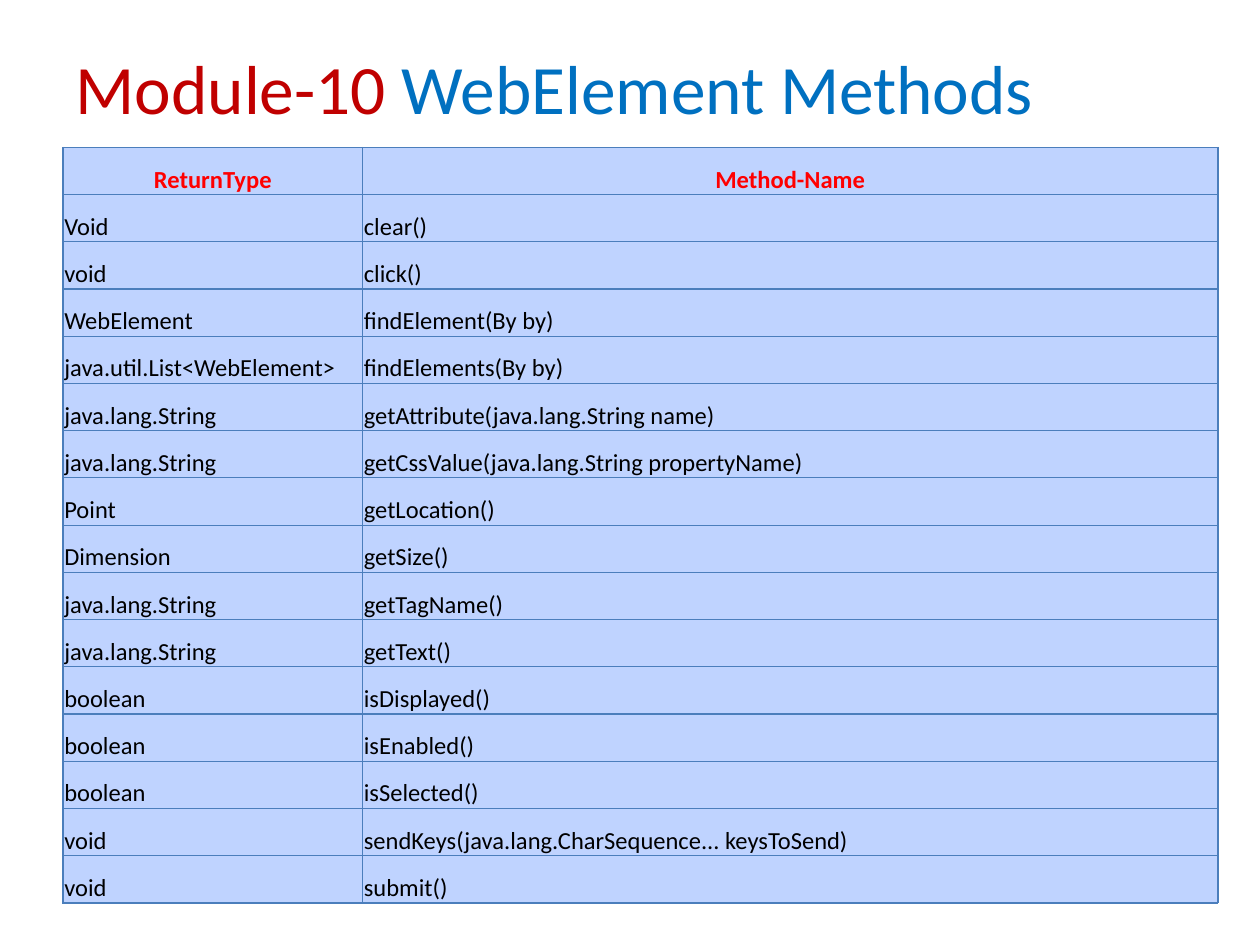
from lxml import etree
from pptx import Presentation
from pptx.dml.color import RGBColor
from pptx.enum.text import MSO_ANCHOR, PP_ALIGN
from pptx.oxml.ns import qn
from pptx.util import Pt

BOTTOM, MIDDLE = MSO_ANCHOR.BOTTOM, MSO_ANCHOR.MIDDLE
LEFT, CENTER = PP_ALIGN.LEFT, PP_ALIGN.CENTER
FONT = "Calibri"
TITLE_ONLY = 5
COLORS = {
    "module": "C00000",
    "topic": "0070C0",
    "header": "FF0000",
    "text": "000000",
    "cell": "BFD3FF",
    "border": "4B7EBC",
}
TITLE_RUNS = [("Module-10 ", "module"), ("WebElement Methods", "topic")]
METHODS = [
    ("ReturnType", "Method-Name"),
    ("Void", "clear()"),
    ("void", "click()"),
    ("WebElement", "findElement(By by)"),
    ("java.util.List<WebElement>", "findElements(By by)"),
    ("java.lang.String", "getAttribute(java.lang.String name)"),
    ("java.lang.String", "getCssValue(java.lang.String propertyName)"),
    ("Point", "getLocation()"),
    ("Dimension", "getSize()"),
    ("java.lang.String", "getTagName()"),
    ("java.lang.String", "getText()"),
    ("boolean", "isDisplayed()"),
    ("boolean", "isEnabled()"),
    ("boolean", "isSelected()"),
    ("void", "sendKeys(java.lang.CharSequence... keysToSend)"),
    ("void", "submit()"),
]


def rgb(name):
    return RGBColor.from_string(COLORS[name])


def add_run(p, text, size, color, bold=False):
    r = p.add_run()
    r.text = text
    r.font.name = FONT
    r.font.size = Pt(size)
    r.font.bold = bold
    r.font.color.rgb = rgb(color)


def fill_title(slide, left, top, width, height):
    sp = slide.shapes.title
    sp.left, sp.top, sp.width, sp.height = map(Pt, (left, top, width, height))
    tf = sp.text_frame
    tf.word_wrap = True
    tf.vertical_anchor = MIDDLE
    p = tf.paragraphs[0]
    p.alignment = LEFT
    for text, color in TITLE_RUNS:
        add_run(p, text, 39.6, color)


def set_borders(cell, width=0.75):
    """Draw all four edges; they must precede the fill in the XML."""
    tc_pr = cell._tc.get_or_add_tcPr()
    for i, edge in enumerate(("a:lnL", "a:lnR", "a:lnT", "a:lnB")):
        ln = etree.Element(qn(edge), w=str(Pt(width)))
        fill = etree.SubElement(ln, qn("a:solidFill"))
        etree.SubElement(fill, qn("a:srgbClr"), val=COLORS["border"])
        tc_pr.insert(i, ln)


def fill_cell(cell, text, is_header):
    cell.fill.solid()
    cell.fill.fore_color.rgb = rgb("cell")
    set_borders(cell)
    cell.vertical_anchor = BOTTOM
    cell.margin_left = cell.margin_right = cell.margin_top = Pt(0.75)
    cell.margin_bottom = Pt(0)
    p = cell.text_frame.paragraphs[0]
    p.alignment = CENTER if is_header else LEFT
    add_run(p, text, 14, "header" if is_header else "text", is_header)


def add_method_table(slide, left, top, width, height, type_width):
    frame = slide.shapes.add_table(
        len(METHODS), 2, Pt(left), Pt(top), Pt(width), Pt(height))
    table = frame.table
    table.horz_banding = False
    table.columns[0].width = Pt(type_width)
    table.columns[1].width = Pt(width - type_width)
    for i, row in enumerate(METHODS):
        table.rows[i].height = Pt(height / len(METHODS))
        for j, text in enumerate(row):
            fill_cell(table.cell(i, j), text, i == 0)


def main():
    prs = Presentation()
    prs.slide_width, prs.slide_height = Pt(720), Pt(540)
    slide = prs.slides.add_slide(prs.slide_layouts[TITLE_ONLY])
    fill_title(slide, 36, 21.6, 648, 56.2)
    add_method_table(slide, 36, 84.2, 660, 432, 171.2)
    prs.save("out.pptx")


if __name__ == "__main__":
    main()
